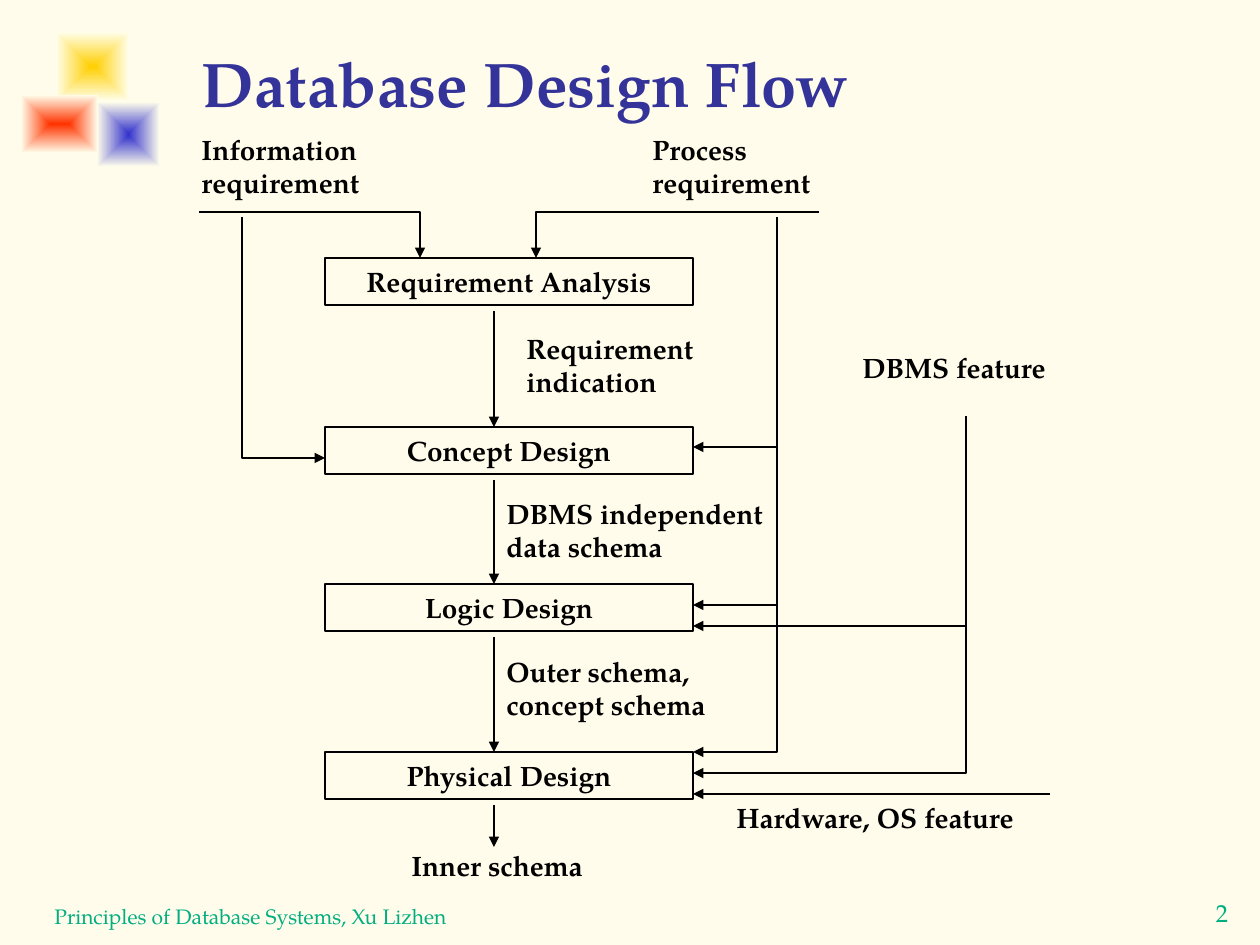
import pptx
import pptx.dml.color
import pptx.enum.shapes
import pptx.enum.text
import pptx.oxml
import pptx.oxml.ns
import pptx.util

PX = 914400 / 126
FONT = "TeX Gyre Pagella"
COLORS = {
    "background": "FFFCEB",
    "fade": "FFFEEB",
    "yellow": "FFCF01",
    "blue": "3333CC",
    "red": "FF3300",
    "footer": "00AE80",
    "title": "333399",
    "ink": "000000",
}
NS = pptx.oxml.ns.nsdecls("a")
ALIGN = pptx.enum.text.PP_ALIGN
ANCHOR = pptx.enum.text.MSO_ANCHOR
RECT = pptx.enum.shapes.MSO_SHAPE.RECTANGLE


def px(*values):
    return [pptx.util.Emu(round(v * PX)) for v in values]


def rgb(name):
    return pptx.dml.color.RGBColor.from_string(COLORS[name])


def write(sp, text, size, color="ink", bold=True, align=ALIGN.LEFT,
          anchor=ANCHOR.TOP, wrap=True):
    tf = sp.text_frame
    tf.text = text
    tf.word_wrap = wrap
    tf.vertical_anchor = anchor
    p = tf.paragraphs[0]
    p.alignment = align
    font = p.runs[0].font
    font.name, font.size, font.bold = FONT, pptx.util.Pt(size), bold
    font.color.rgb = rgb(color)


def add_label(s, box, text, size=16, **style):
    write(s.shapes.add_textbox(*px(*box)), text, size, **style)


def add_glow(s, box, color):
    """Square whose colour fades from its centre to the background."""
    sp = s.shapes.add_shape(RECT, *px(*box))
    sp.shadow.inherit = False
    sp.line.fill.background()
    sp.fill.gradient()
    for stop, name in zip(sp.fill.gradient_stops, (color, "fade")):
        stop.color.rgb = rgb(name)
    grad = sp._element.spPr.find(pptx.oxml.ns.qn("a:gradFill"))
    grad.remove(grad.find(pptx.oxml.ns.qn("a:lin")))
    grad.append(pptx.oxml.parse_xml(
        f'<a:path {NS} path="rect"><a:fillToRect l="50000" t="50000" '
        'r="50000" b="50000"/></a:path>'))


def draw_outline(sp):
    sp.line.color.rgb = rgb("ink")
    sp.line.width = pptx.util.Pt(1)


def add_step(s, box, text):
    sp = s.shapes.add_shape(RECT, *px(*box))
    sp.shadow.inherit = False
    sp.fill.background()
    draw_outline(sp)
    write(sp, text, 16, align=ALIGN.CENTER)


def add_arrow(s, *points):
    """Straight connector for two points, bent open path for more."""
    if len(points) == 2:
        sp = s.shapes.add_connector(
            pptx.enum.shapes.MSO_CONNECTOR.STRAIGHT, *px(*points[0], *points[1]))
    else:
        builder = s.shapes.build_freeform(*points[0], scale=PX)
        builder.add_line_segments(points[1:], close=False)
        sp = builder.convert_to_shape()
        sp.fill.background()
    draw_outline(sp)
    sp.line._get_or_add_ln().append(
        pptx.oxml.parse_xml(f'<a:tailEnd {NS} type="triangle"/>'))
    sp._element.spPr.append(pptx.oxml.parse_xml(f"<a:effectLst {NS}/>"))


def add_title(s, box, text):
    sp = s.shapes.title
    sp.left, sp.top, sp.width, sp.height = px(*box)
    write(sp, text, 36, "title", anchor=ANCHOR.BOTTOM)


def add_flow(s):
    left, width, height, center = 325, 368, 47, 494
    right = left + width
    steps = {
        "Requirement Analysis": 258,
        "Concept Design": 427,
        "Logic Design": 584,
        "Physical Design": 752,
    }
    tops = list(steps.values())
    for text, top in steps.items():
        add_step(s, (left, top, width, height), text)
    for top, end in zip(tops, tops[1:] + [847]):
        add_arrow(s, (center, top + height + 6), (center, end))

    # Information and process requirements
    info, process, dbms = 242, 777, 966
    add_arrow(s, (199, 212), (420, 212), (420, tops[0]))
    add_arrow(s, (819, 212), (536, 212), (536, tops[0]))
    add_arrow(s, (info, 217), (info, 458), (left, 458))
    add_arrow(s, (process, 217), (process, tops[3]), (right, tops[3]))
    # DBMS features
    add_arrow(s, (dbms, 416), (dbms, 773), (right, 773))
    # Straight inputs from the right
    for x, y in ((process, 447), (process, 605), (dbms, 626), (1050, 794)):
        add_arrow(s, (x, y), (right, y))


def main():
    prs = pptx.Presentation()
    prs.slide_width, prs.slide_height = px(1260, 945)
    s = prs.slides.add_slide(prs.slide_layouts[5])
    s.background.fill.solid()
    s.background.fill.fore_color.rgb = rgb("background")

    add_glow(s, (56, 32, 73, 69), "yellow")
    add_glow(s, (97, 102, 63, 65), "blue")
    add_glow(s, (21, 95, 77, 58), "red")
    add_label(s, (1147, 892, 150, 48), "2", 14, color="footer", bold=False,
              align=ALIGN.CENTER, wrap=False)
    add_label(s, (42, 872, 819, 63), "Principles of Database Systems, Xu Lizhen",
              12, color="footer", bold=False, anchor=ANCHOR.BOTTOM)
    add_title(s, (189, 33, 1040, 93), "Database Design Flow")

    add_flow(s)
    for box, text in (
        ((189, 126, 220, 81), "Information requirement"),
        ((640, 126, 210, 81), "Process requirement"),
        ((514, 325, 220, 81), "Requirement indication"),
        ((850, 344, 220, 47), "DBMS feature"),
        ((724, 794, 431, 47), "Hardware, OS feature"),
        ((494, 490, 305, 81), "DBMS independent data schema"),
        ((494, 648, 242, 113), "Outer schema, concept schema"),
        ((399, 842, 199, 81), "Inner schema"),
    ):
        add_label(s, box, text)
    prs.save("out.pptx")


if __name__ == "__main__":
    main()
